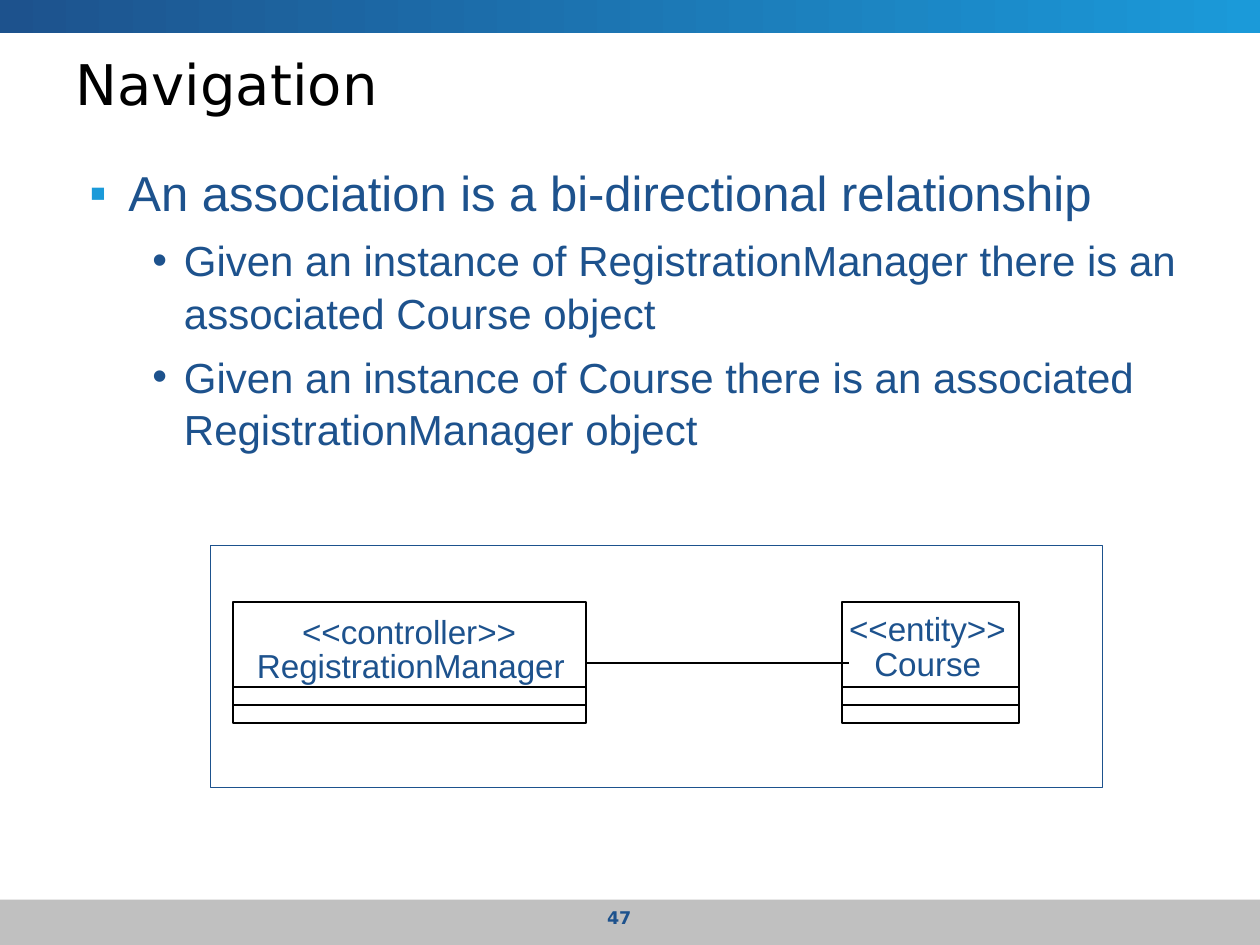
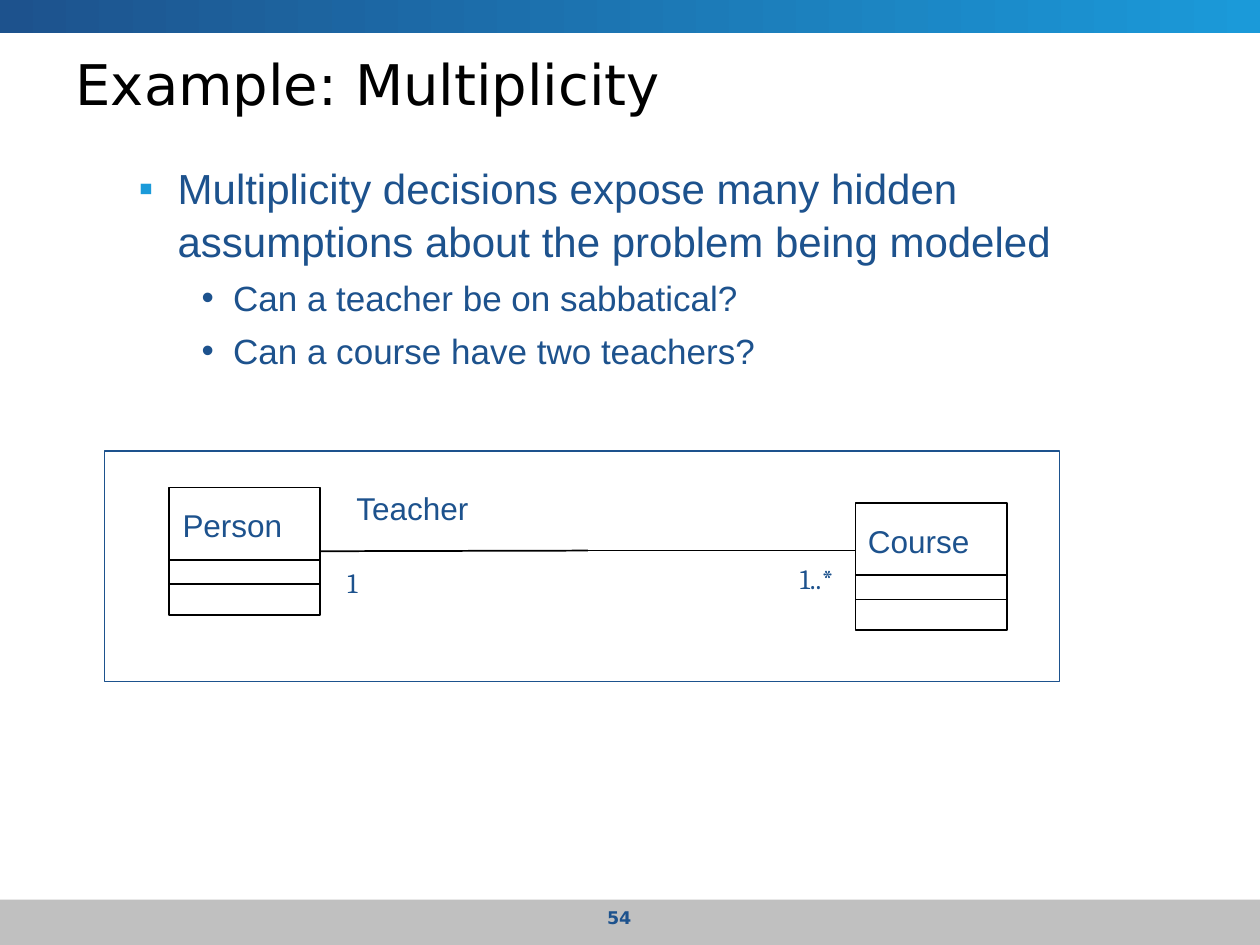
import pptx
import pptx.dml.color
import pptx.enum.shapes
import pptx.enum.text
import pptx.oxml.ns
import pptx.util
from lxml import etree

COLUMNS, ROWS = 10, 7.5  # grid units that span the slide
NAVY, SKY, GREY, WHITE, BLACK = "1D528D", "1B9AD9", "C0C0C0", "FFFFFF", "000000"
BODY_FONT, TITLE_FONT, COUNT_FONT = "Arial", "DejaVu Sans", "Cambria"
RECTANGLE = pptx.enum.shapes.MSO_SHAPE.RECTANGLE
STRAIGHT = pptx.enum.shapes.MSO_CONNECTOR.STRAIGHT
ALIGN = pptx.enum.text.PP_ALIGN
AUTO_SIZE = pptx.enum.text.MSO_AUTO_SIZE
ANCHOR = pptx.enum.text.MSO_ANCHOR
# level: (bullet, bullet colour, left margin, hanging indent)
BULLETS = {1: ("▪", SKY, 0.81, -0.31), 2: ("•", NAVY, 1.25, -0.25)}


def grid(*lengths):
    return [pptx.util.Inches(length) for length in lengths]


def colour(code):
    return pptx.dml.color.RGBColor.from_string(code)


def add_span(para, text, size, font=BODY_FONT, code=NAVY, bold=False):
    span = para.add_run()
    span.text = text
    span.font.size = pptx.util.Pt(size)
    span.font.name = font
    span.font.bold = bold
    span.font.color.rgb = colour(code)


def add_rectangle(page, area, fill=None, line=None, width=1):
    box = page.shapes.add_shape(RECTANGLE, *grid(*area))
    box.shadow.inherit = False
    if fill:
        box.fill.solid()
        box.fill.fore_color.rgb = colour(fill)
    else:
        box.fill.background()
    if line:
        box.line.color.rgb = colour(line)
        box.line.width = pptx.util.Pt(width)
    else:
        box.line.fill.background()
    return box


def add_line(page, x1, y1, x2, y2):
    line = page.shapes.add_connector(STRAIGHT, *grid(x1, y1, x2, y2))
    line.line.color.rgb = colour(BLACK)
    line.line.width = pptx.util.Pt(1)
    etree.SubElement(line.element.spPr, pptx.oxml.ns.qn("a:effectLst"))
    return line


def add_label(page, text, area, size, font=BODY_FONT):
    box = page.shapes.add_textbox(*grid(*area))
    box.text_frame.word_wrap = False
    box.text_frame.auto_size = AUTO_SIZE.SHAPE_TO_FIT_TEXT
    add_span(box.text_frame.paragraphs[0], text, size, font)


def add_class_box(page, area, dividers):
    """Outline a UML class; dividers are shares of its height."""
    left, top, width, height = area
    box = add_rectangle(page, area, line=BLACK)
    for share in dividers:
        y = top + share * height
        add_line(page, left, y, left + width, y)
    return box


def add_association(page, owner, start, end, y):
    """Draw both directions outward from the middle of the association."""
    middle = (start + end) / 2
    add_line(page, middle, y, start, y).end_connect(owner, 3)
    add_line(page, middle, y, end, y)


def set_bullet(para, level):
    character, code, margin, indent = BULLETS[level]
    para.level = level
    properties = para._p.get_or_add_pPr()
    properties.set("marL", str(pptx.util.Inches(margin)))
    properties.set("indent", str(pptx.util.Inches(indent)))
    qn = pptx.oxml.ns.qn
    tint = etree.SubElement(properties, qn("a:buClr"))
    etree.SubElement(tint, qn("a:srgbClr")).set("val", code)
    etree.SubElement(properties, qn("a:buChar")).set("char", character)


def place(shape, area):
    shape.left, shape.top, shape.width, shape.height = grid(*area)


def add_page(deck, title, number):
    page = deck.slides.add_slide(deck.slide_layouts[1])
    heading = page.shapes.title
    place(heading, (0.5, 0.35, 9, 0.62))
    heading.text_frame.vertical_anchor = ANCHOR.MIDDLE
    heading.text_frame.auto_size = AUTO_SIZE.NONE
    para = heading.text_frame.paragraphs[0]
    para.alignment = ALIGN.LEFT
    add_span(para, title, 32, TITLE_FONT, BLACK)

    footer = page.shapes.add_textbox(*grid(3.75, 7.15, 2.33, 0.28))
    footer.text_frame.word_wrap = True
    para = footer.text_frame.paragraphs[0]
    para.alignment = ALIGN.CENTER
    add_span(para, str(number), 10, TITLE_FONT, bold=True)
    return page


def fill_body(page, area, items, sizes):
    """Write (level, text) items; sizes gives the text size of each level."""
    body = page.placeholders[1]
    place(body, area)
    frame = body.text_frame
    frame.auto_size = AUTO_SIZE.NONE
    for index, (level, text) in enumerate(items):
        para = frame.add_paragraph() if index else frame.paragraphs[0]
        set_bullet(para, level)
        para.line_spacing = 1.05
        para.space_before = pptx.util.Pt(sizes[level] // 4 if index else 0)
        add_span(para, text, sizes[level])


def add_master_bands(deck, page):
    """Draw the bands, then move them behind everything on the master."""
    bottom = add_rectangle(page, (0, ROWS - 0.36, COLUMNS, 0.36), GREY)
    top = add_rectangle(page, (0, 0, COLUMNS, 0.26), NAVY)
    top.fill.gradient()
    top.fill.gradient_angle = 0
    for stop, code in zip(top.fill.gradient_stops, (NAVY, SKY)):
        stop.color.rgb = colour(code)
    for index, band in enumerate((bottom, top)):
        band.element.nvSpPr.cNvPr.set("id", str(100 + index))
        deck.slide_master.element.cSld.spTree.insert(2 + index, band.element)


def build_navigation(deck):
    page = add_page(deck, "Navigation", 47)
    fill_body(page, (0.11, 1.22, 9.69, 5.28), [
        (1, "An association is a bi-directional relationship"),
        (2, "Given an instance of RegistrationManager there is an associated Course object"),
        (2, "Given an instance of Course there is an associated RegistrationManager object"),
    ], {1: 28, 2: 24})
    add_rectangle(page, (1.67, 4.33, 7.08, 1.92), WHITE, NAVY, 0.75)
    dividers = (0.7, 0.85)
    manager = add_class_box(page, (1.85, 4.78, 2.8, 0.96), dividers)
    add_class_box(page, (6.68, 4.78, 1.41, 0.96), dividers)
    for text, area in (
        ("<<controller>>", (2.3, 4.8, 1.9, 0.42)),
        ("RegistrationManager", (1.94, 5.07, 2.65, 0.42)),
        ("<<entity>>", (6.64, 4.78, 1.45, 0.42)),
        ("Course", (6.84, 5.06, 1.05, 0.42)),
    ):
        add_label(page, text, area, 19)
    add_association(page, manager, 4.65, 6.74, 5.26)
    return page


def build_multiplicity(deck):
    page = add_page(deck, "Example: Multiplicity", 54)
    fill_body(page, (0.5, 1.22, 9, 5.7), [
        (1, "Multiplicity decisions expose many hidden assumptions about the problem being modeled"),
        (2, "Can a teacher be on sabbatical?"),
        (2, "Can a course have two teachers?"),
    ], {1: 24, 2: 20})
    add_rectangle(page, (0.83, 3.58, 7.58, 1.83), WHITE, NAVY, 0.75)
    dividers = (0.57, 0.76)
    person = add_class_box(page, (1.34, 3.87, 1.2, 1.01), dividers)
    add_class_box(page, (6.79, 3.99, 1.2, 1.01), dividers)
    for text, area in (
        ("Person", (1.35, 3.97, 0.99, 0.4)),
        ("Teacher", (2.73, 3.83, 1.12, 0.4)),
        ("Course", (6.79, 4.09, 1.01, 0.4)),
    ):
        add_label(page, text, area, 18)
    add_label(page, "1", (2.66, 4.44, 0.33, 0.37), 16, COUNT_FONT)
    add_label(page, "1..*", (6.25, 4.41, 0.55, 0.37), 16, COUNT_FONT)
    add_association(page, person, 2.54, 6.79, 4.37)


def main():
    deck = pptx.Presentation()
    deck.slide_width, deck.slide_height = grid(COLUMNS, ROWS)
    first_page = build_navigation(deck)
    add_master_bands(deck, first_page)
    build_multiplicity(deck)
    deck.save("out.pptx")


if __name__ == "__main__":
    main()
